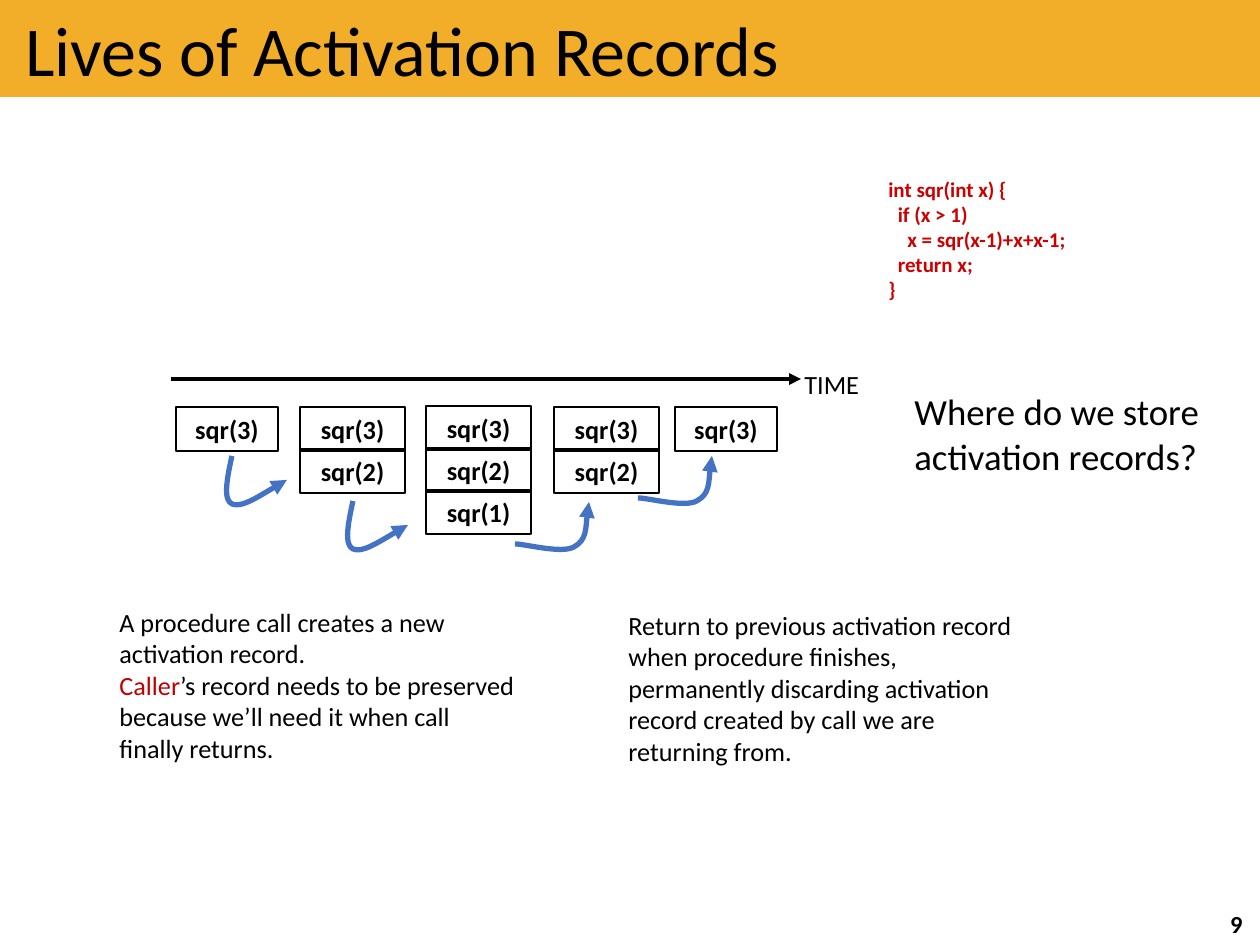
import pptx
import pptx.util
from pptx.dml.color import RGBColor
from pptx.enum.shapes import MSO_CONNECTOR, MSO_SHAPE
from pptx.enum.text import MSO_ANCHOR, PP_ALIGN
from pptx.oxml.ns import qn
from lxml import etree

PX = 914400 / 126
BLACK, BLUE, GOLD = "000000", "4472C4", "F2AE29"
CODE_RED, TEXT_RED = "CC0000", "C00000"
CODE = """int sqr(int x) {
  if (x > 1)
    x = sqr(x-1)+x+x-1;
  return x;
}"""
ROW_STEP, ROW_H = 42, 44
# Curves as offsets from their start: three points for each Bezier piece
CALL_CURVE = [(-5, 23), (-9, 44), (0, 48), (9, 52), (31, 38), (55, 24)]
RETURN_CURVE = [(10, 0), (47, 10), (59, 3), (72, -4), (72, -32), (74, -42)]


def emu(*px):
    return [pptx.util.Emu(round(v * PX)) for v in px]


def rgb(value):
    return RGBColor.from_string(value)


def style(p, size, color=BLACK, bold=False, align=PP_ALIGN.LEFT):
    p.alignment = align
    p.font.name = "Calibri"
    p.font.size = pptx.util.Pt(size)
    p.font.bold = bold
    p.font.color.rgb = rgb(color)


def add_text(slide, box, paragraphs, size, wrap=True, **look):
    """Each paragraph is a list of (text, colour or None) runs."""
    tf = slide.shapes.add_textbox(*emu(*box)).text_frame
    tf.word_wrap = wrap
    for i, runs in enumerate(paragraphs):
        p = tf.add_paragraph() if i else tf.paragraphs[0]
        style(p, size, **look)
        for text, color in runs:
            r = p.add_run()
            r.text = text
            if color:
                r.font.color.rgb = rgb(color)


def add_arrowhead(sp):
    ln = sp.line._get_or_add_ln()
    etree.SubElement(ln, qn("a:tailEnd"), type="triangle")


def add_title(slide, box, text):
    sp = slide.shapes.title
    sp.left, sp.top, sp.width, sp.height = emu(*box)
    sp.fill.solid()
    sp.fill.fore_color.rgb = rgb(GOLD)
    tf = sp.text_frame
    tf.margin_left = tf.margin_right = pptx.util.Inches(0.2)
    tf.vertical_anchor = MSO_ANCHOR.MIDDLE
    tf.text = text
    style(tf.paragraphs[0], 40)


def add_code(slide, box, code):
    tf = slide.shapes.add_textbox(*emu(*box)).text_frame
    tf.word_wrap = False
    p = tf.paragraphs[0]
    p.text = code.replace("\n", "\v")
    style(p, 12, CODE_RED, bold=True)


def add_stack(slide, x, y, w, depth):
    """Activation records from sqr(3) downwards."""
    for row in range(depth):
        sp = slide.shapes.add_shape(
            MSO_SHAPE.RECTANGLE, *emu(x, y + row * ROW_STEP, w, ROW_H))
        sp.shadow.inherit = False
        sp.fill.background()
        sp.line.color.rgb = rgb(BLACK)
        sp.line.width = pptx.util.Pt(0.75)
        tf = sp.text_frame
        tf.vertical_anchor = MSO_ANCHOR.MIDDLE
        tf.text = f"sqr({3 - row})"
        style(tf.paragraphs[0], 15, bold=True, align=PP_ALIGN.CENTER)


def add_curve(slide, x, y, offsets):
    builder = slide.shapes.build_freeform(x, y, scale=PX)
    builder.add_line_segments([(x + dx, y + dy) for dx, dy in offsets], close=False)
    sp = builder.convert_to_shape()
    # Turn each three straight segments into one Bezier piece
    segments = sp._element.xpath(".//a:lnTo")
    for i in range(0, len(segments), 3):
        bezier = etree.Element(qn("a:cubicBezTo"))
        segments[i].addprevious(bezier)
        for segment in segments[i:i + 3]:
            bezier.append(segment[0])
            segment.getparent().remove(segment)
    sp.shadow.inherit = False
    sp.fill.background()
    sp.line.color.rgb = rgb(BLUE)
    sp.line.width = pptx.util.Pt(3)
    add_arrowhead(sp)


def add_timeline(slide, x, y):
    # Time axis
    axis = slide.shapes.add_connector(
        MSO_CONNECTOR.STRAIGHT, *emu(x, y, x + 630, y))
    axis.line.color.rgb = rgb(BLACK)
    axis.line.width = pptx.util.Pt(2.25)
    add_arrowhead(axis)
    etree.SubElement(axis._element.spPr, qn("a:effectLst"))
    add_text(slide, (x + 621, y - 17, 81, 44), [[("TIME", None)]], 15, wrap=False)

    # Stack of records at each moment
    for dx, w, depth in [(5, 102, 1), (129, 105, 2), (255, 105, 3),
                         (383, 105, 2), (504, 102, 1)]:
        add_stack(slide, x + dx, y + (27 if depth == 3 else 28), w, depth)

    # Calls and returns between moments
    for dx, dy, curve in [(61, 77, CALL_CURVE), (182, 122, CALL_CURVE),
                          (344, 165, RETURN_CURVE), (467, 119, RETURN_CURVE)]:
        add_curve(slide, x + dx, y + dy, curve)


def add_notes(slide, x, y):
    add_text(slide, (x, y, 423, 171), [
        [("A procedure call creates a new activation record.", None)],
        [("Caller", TEXT_RED),
         ("’s record needs to be preserved because we’ll need it when call "
          "finally returns.", None)]], 15)
    add_text(slide, (x + 509, y + 3, 433, 171), [
        [("Return to previous activation record when procedure finishes, "
          "permanently discarding activation record created by call we are "
          "returning from.", None)]], 15)


def main():
    prs = pptx.Presentation()
    prs.slide_width, prs.slide_height = emu(1260, 945)
    slide = prs.slides.add_slide(prs.slide_layouts[5])
    add_title(slide, (0, 0, 1260, 97), "Lives of Activation Records")
    add_code(slide, (876, 170, 205, 140), CODE)
    add_timeline(slide, 171, 379)
    add_text(slide, (902, 383, 323, 102),
             [[("Where do we store activation records?", None)]], 21)
    add_notes(slide, 107, 600)
    # Page number
    add_text(slide, (1202, 903, 53, 42), [[("9", None)]], 14,
             bold=True, align=PP_ALIGN.RIGHT)
    prs.save("out.pptx")


if __name__ == "__main__":
    main()
